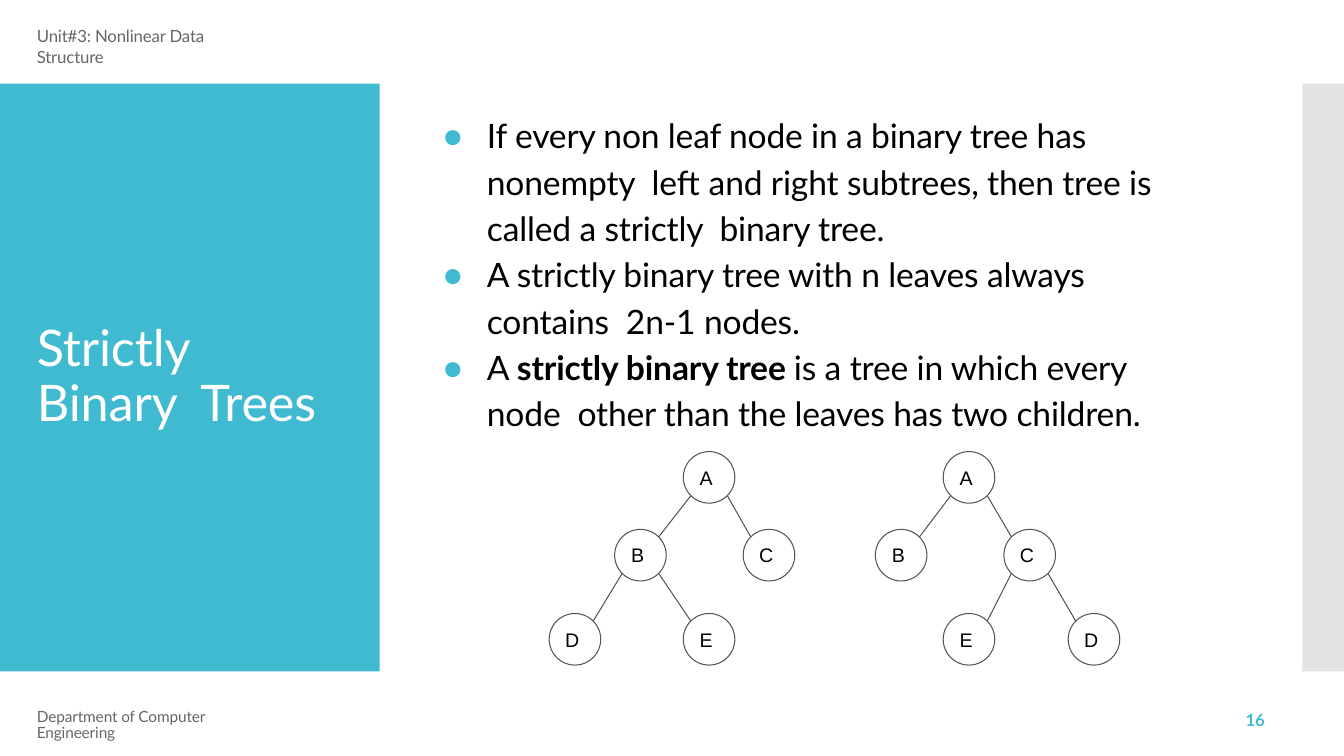
"""Build the slide on strictly binary trees."""
from lxml.etree import SubElement
from pptx import Presentation
from pptx.dml.color import RGBColor
from pptx.enum.shapes import MSO_CONNECTOR, MSO_SHAPE
from pptx.enum.text import MSO_ANCHOR, MSO_AUTO_SIZE, PP_ALIGN
from pptx.oxml.ns import qn
from pptx.util import Cm, Pt

HEAD = "Unit#3: Nonlinear Data Structure"
TITLE = "Strictly Binary  Trees"
FOOT = "Department of Computer Engineering"
PAGE = "16"
POINTS = [
    [("If every non leaf node in a binary tree has nonempty  left and right "
      "subtrees, then tree is called a strictly  binary tree.", False)],
    [("A strictly binary tree with n leaves always contains  2n-1 nodes.", False)],
    [("A ", False), ("strictly binary tree ", True),
     ("is a tree in which every node  other than the leaves has two children.", False)],
]
TREES = [
    {"nodes": {"A": (17.87, 0), "B": (16.14, 1), "C": (19.38, 1),
               "D": (14.49, 2), "E": (17.87, 2)},
     "edges": ["AB", "AC", "BD", "BE"]},
    {"nodes": {"A": (24.42, 0), "B": (22.71, 1), "C": (25.95, 1),
               "D": (27.57, 2), "E": (24.42, 2)},
     "edges": ["AB", "AC", "CD", "CE"]},
]
ROWS = [12.03, 13.99, 16.11]
SIZE = 1.3
REACH = SIZE / 2 * 0.5 ** 0.5

TEAL, GRAY, INK, LINE = "40BAD1", "666666", "000000", "545454"
FLAT = {"margin_left": 0, "margin_right": 0, "margin_top": 0, "margin_bottom": 0,
        "word_wrap": True, "auto_size": MSO_AUTO_SIZE.NONE,
        "vertical_anchor": MSO_ANCHOR.TOP}


def paint(color, code):
    color.rgb = RGBColor.from_string(code)


def apply(item, form):
    for name, value in form.items():
        setattr(item, name, value)


def place(shape, box):
    apply(shape, dict(zip(("left", "top", "width", "height"), map(Cm, box))))


def add_run(para, text, code, form, track=-10):
    run = para.add_run()
    run.text = text
    apply(run.font, {"name": "Lato", **form})
    paint(run.font.color, code)
    run._r.get_or_add_rPr().set("spc", str(track))


def write(shape, text, code, font, para, frame):
    apply(shape.text_frame, {**FLAT, **frame})
    line = shape.text_frame.paragraphs[0]
    apply(line, {"alignment": PP_ALIGN.LEFT, **para})
    add_run(line, text, code, font)


def add_panel(slide, box, code):
    shape = slide.shapes.add_shape(MSO_SHAPE.RECTANGLE, *map(Cm, box))
    shape.shadow.inherit = False
    shape.fill.solid()
    paint(shape.fill.fore_color, code)
    shape.line.fill.background()
    return shape


def add_bullet(para):
    props = para._p.get_or_add_pPr()
    apply(para, {"alignment": PP_ALIGN.LEFT, "line_spacing": 1.15, "space_before": Pt(0)})
    props.set("marL", str(Cm(1.14)))
    props.set("indent", str(-Cm(1.09)))
    tint = SubElement(props, qn("a:buClr"))
    SubElement(tint, qn("a:srgbClr"), val=TEAL)
    SubElement(props, qn("a:buSzPct"), val="92000")
    SubElement(props, qn("a:buFont"), typeface="Lato")
    SubElement(props, qn("a:buChar"), char="●")


def add_points(body):
    frame = body.text_frame
    apply(frame, FLAT)
    for i, parts in enumerate(POINTS):
        para = frame.add_paragraph() if i else frame.paragraphs[0]
        add_bullet(para)
        for text, bold in parts:
            add_run(para, text, INK, {"size": Pt(24), "bold": bold})


def add_node(slide, name, x, y):
    box = (x - SIZE / 2, y - SIZE / 2, SIZE, SIZE)
    shape = slide.shapes.add_shape(MSO_SHAPE.OVAL, *map(Cm, box))
    shape.shadow.inherit = False
    shape.fill.background()
    paint(shape.line.color, LINE)
    shape.line.width = Pt(0.75)
    write(shape, name, INK, {"name": "Arial", "size": Pt(14)},
          {"alignment": PP_ALIGN.CENTER},
          {"margin_right": Cm(0.14), "vertical_anchor": MSO_ANCHOR.MIDDLE})


def add_edge(slide, start, end):
    side = REACH if end[0] > start[0] else -REACH
    ends = (start[0] + side, start[1] + REACH, end[0] - side, end[1] - REACH)
    edge = slide.shapes.add_connector(MSO_CONNECTOR.STRAIGHT, *map(Cm, ends))
    paint(edge.line.color, LINE)
    edge.line.width = Pt(0.75)
    SubElement(edge._element.spPr, qn("a:effectLst"))


def add_tree(slide, tree):
    spots = {name: (x, ROWS[row]) for name, (x, row) in tree["nodes"].items()}
    for top, low in tree["edges"]:
        add_edge(slide, spots[top], spots[low])
    for name, spot in spots.items():
        add_node(slide, name, *spot)


def main():
    deck = Presentation()
    apply(deck, {"slide_width": Cm(33.87), "slide_height": Cm(19.05)})
    slide = deck.slides.add_slide(deck.slide_layouts[1])
    title, body = slide.placeholders

    add_panel(slide, (0, 2.11, 9.57, 14.81), TEAL)
    strip = add_panel(slide, (32.82, 2.11, 1.05, 14.81), "C8C8C8")
    tint = next(strip._element.iter(qn("a:srgbClr")))
    SubElement(tint, qn("a:alpha"), val="50000")
    for shape in (title, body):
        slide.shapes._spTree.append(shape._element)

    place(title, (0.93, 7.92, 7.44, 2.97))
    write(title, TITLE, "FFFFFF", {"size": Pt(36)},
          {"line_spacing": Pt(39), "space_before": Pt(5.8)}, {"margin_top": Cm(0.2)})
    place(body, (11.13, 2.75, 19.15, 8.6))
    add_points(body)

    notes = [
        (HEAD, (0.93, 0.66, 5.84, 1.1), GRAY, {"size": Pt(12)}, {}),
        (FOOT, (0.93, 17.88, 6.1, 0.9), GRAY, {"size": Pt(11)}, {"line_spacing": Pt(11.4)}),
        (PAGE, (31.39, 17.96, 0.8, 0.48), TEAL, {"size": Pt(12), "bold": True},
         {"line_spacing": Pt(12.3)}),
    ]
    for text, box, code, font, para in notes:
        note = slide.shapes.add_textbox(*map(Cm, box))
        write(note, text, code, font, para, {})
    for tree in TREES:
        add_tree(slide, tree)
    deck.save("out.pptx")


if __name__ == "__main__":
    main()
